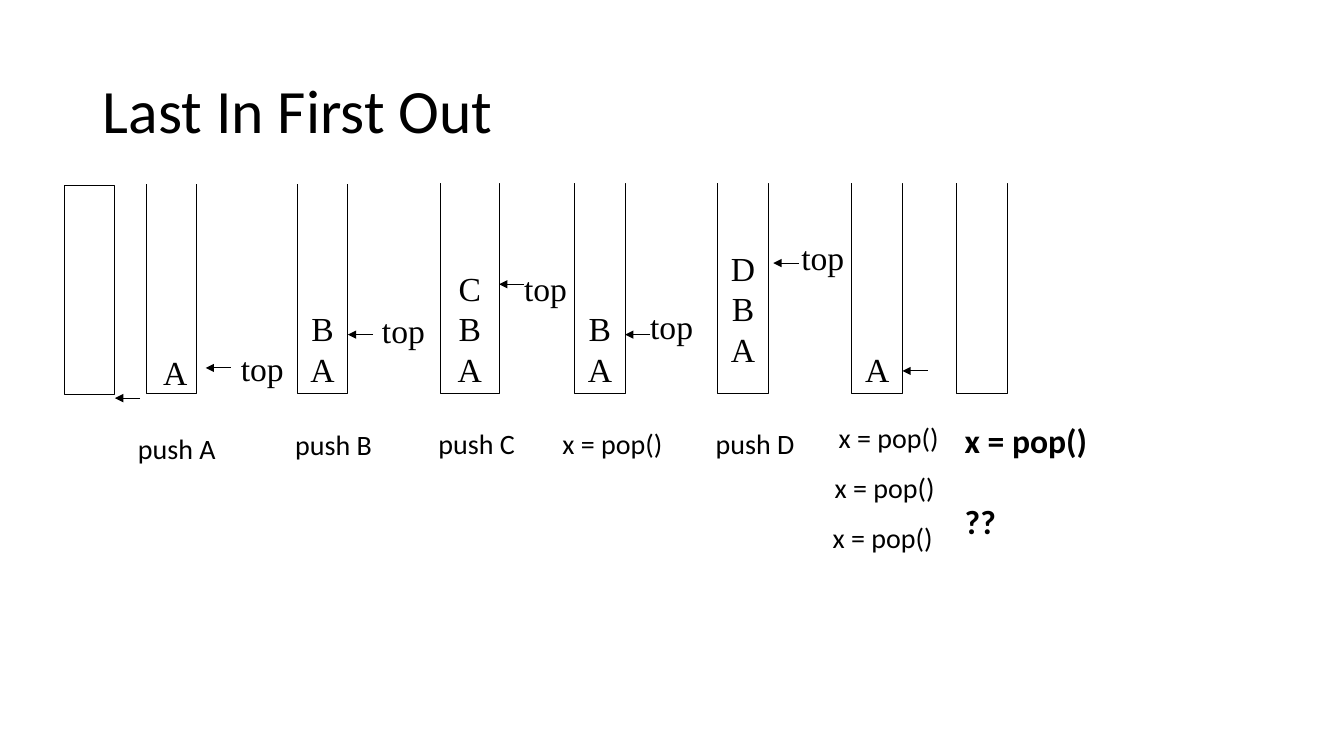
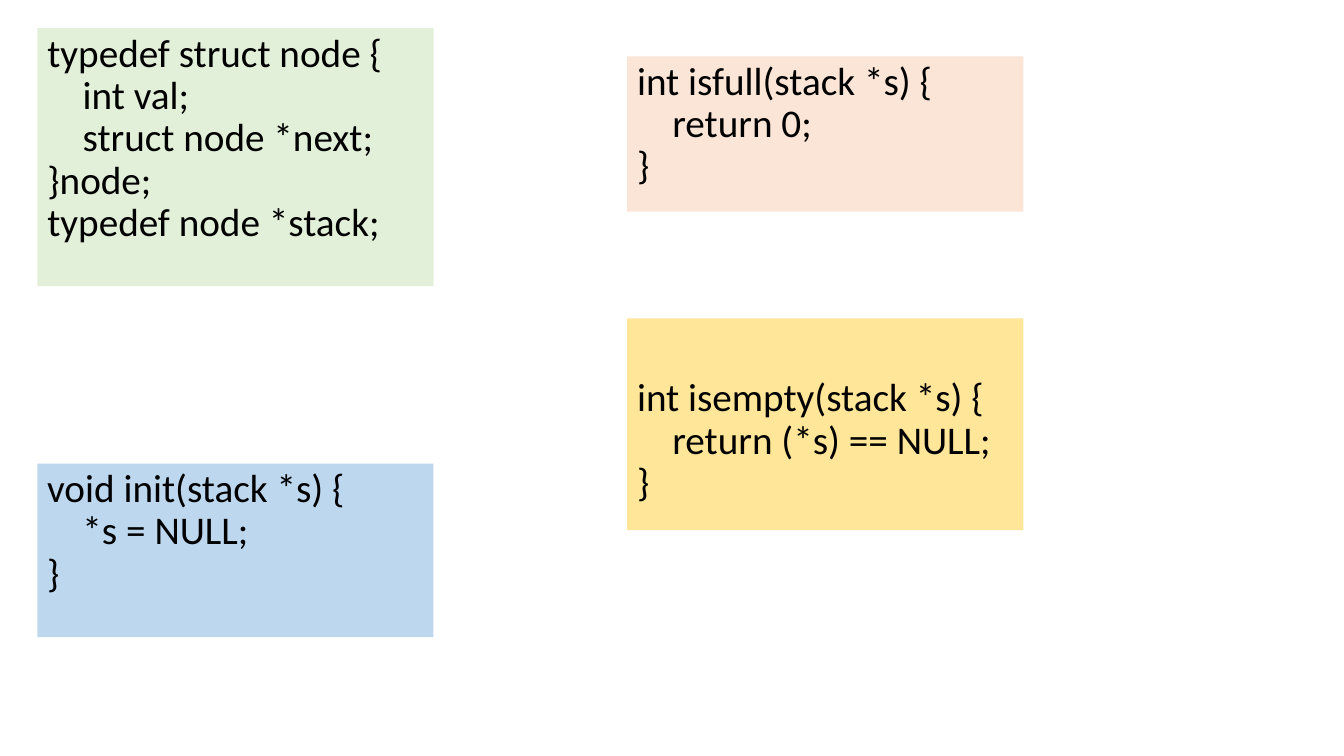
from pptx import Presentation
from pptx.dml.color import RGBColor
from pptx.enum.shapes import MSO_CONNECTOR, MSO_SHAPE
from pptx.enum.text import MSO_ANCHOR, MSO_AUTO_SIZE, PP_ALIGN
from pptx.oxml.ns import qn
from pptx.util import Pt
from lxml.etree import SubElement

PX = 9144
SANS, SERIF = "Calibri", "Times New Roman"
BLACK, WHITE = "000000", "FFFFFF"
TITLE_ONLY, TITLE_AND_CONTENT = 5, 1


def px(*lengths):
    return [n * PX for n in lengths]


def color(value):
    return RGBColor.from_string(value)


class Deck:
    def __init__(self):
        self.prs = Presentation()
        self.prs.slide_width, self.prs.slide_height = px(1333, 750)

    def new_slide(self, layout):
        self.s = self.prs.slides.add_slide(self.prs.slide_layouts[layout])

    def place(self, sp, box):
        sp.left, sp.top, sp.width, sp.height = px(*box)

    def style(self, p, size, font=SANS, bold=False):
        p.font.size, p.font.name, p.font.bold = Pt(size), font, bold
        p.font.color.rgb = color(BLACK)

    def title(self, text):
        sp = self.s.shapes.title
        self.place(sp, (92, 40, 1150, 145))
        tf = sp.text_frame
        tf.text = text
        tf.vertical_anchor = MSO_ANCHOR.MIDDLE
        p = tf.paragraphs[0]
        p.alignment, p.line_spacing = PP_ALIGN.LEFT, 0.9
        self.style(p, 44)

    def rect(self, box):
        sp = self.s.shapes.add_shape(MSO_SHAPE.RECTANGLE, *px(*box))
        sp.shadow.inherit = False
        return sp

    def line(self, x1, y1, x2, y2, stroke=BLACK, arrow=False):
        sp = self.s.shapes.add_connector(MSO_CONNECTOR.STRAIGHT, *px(x1, y1, x2, y2))
        sp.line.width = Pt(0.75)
        sp.line.color.rgb = color(stroke)
        if arrow:
            SubElement(sp._element.spPr.find(qn("a:ln")), qn("a:tailEnd"), type="triangle")
        SubElement(sp._element.spPr, qn("a:effectLst"))

    def arrow(self, x, y):
        self.line(x + 25, y, x, y, arrow=True)

    def stack(self, x, width=50, letters="", top=182, height=208, base=4, is_open=True):
        sp = self.rect((x, top, width, height))
        sp.fill.background()
        sp.line.color.rgb = color(BLACK)
        sp.line.width = Pt(0.75)
        if letters:
            tf = sp.text_frame
            tf.text = "\n".join(letters)
            tf.word_wrap = False
            tf.vertical_anchor = MSO_ANCHOR.BOTTOM
            tf.margin_bottom = base * PX
            for p in tf.paragraphs:
                p.alignment, p.line_spacing = PP_ALIGN.CENTER, Pt(29)
                self.style(p, 24, SERIF)
        if is_open:
            self.line(x, top, x + width, top, WHITE)

    def label(self, text, box, size=20, font=SANS, bold=False, wrap=True, gap=0):
        tf = self.s.shapes.add_textbox(*px(*box)).text_frame
        tf.text = text
        tf.word_wrap, tf.auto_size = wrap, MSO_AUTO_SIZE.SHAPE_TO_FIT_TEXT
        for i, p in enumerate(tf.paragraphs):
            p.space_before = Pt(gap if i else 0)
            self.style(p, size, font, bold)

    def pointer(self, text, x, y, width=70):
        self.label(text, (x, y, width, 50), 24, SERIF)

    def code(self, box, fill, lines, top=5, placeholder=None):
        sp = placeholder or self.rect(box)
        self.place(sp, box)
        sp.fill.solid()
        sp.fill.fore_color.rgb = color(fill)
        sp.line.fill.background()
        tf = sp.text_frame
        tf.text = "\n".join(line.strip() for line in lines)
        tf.word_wrap, tf.auto_size = True, MSO_AUTO_SIZE.NONE
        tf.vertical_anchor = MSO_ANCHOR.TOP
        tf.margin_top = top * PX
        for p, line in zip(tf.paragraphs, lines):
            p.alignment, p.line_spacing, p.space_before = PP_ALIGN.LEFT, 0.9, Pt(0)
            self.style(p, 28)
            pPr = p._p.get_or_add_pPr()
            pPr.set("marL", str(35 * PX if line.startswith("\t") else 0))
            pPr.set("indent", "0")
            bullet = pPr.makeelement(qn("a:buNone"), {})
            pPr.insert_element_before(bullet, "a:tabLst", "a:defRPr", "a:extLst")


def lifo_slide(deck):
    deck.new_slide(TITLE_ONLY)
    deck.title("Last In First Out")

    deck.stack(64, top=184, height=207, is_open=False)
    for x, width, letters, base in [
        (145, 50, "", 4), (295, 50, "BA", 4), (437, 58, "CBA", 4), (570, 50, "BA", 4),
        (712, 50, "DBA", 24), (845, 50, "A", 4), (949, 50, "", 4),
    ]:
        deck.stack(x, width, letters, base=base)
    deck.line(949, 220, 999, 220, WHITE)

    for x, y in [(114, 395), (204, 365), (345, 332), (495, 282), (620, 332), (767, 261), (895, 368)]:
        deck.arrow(x, y)
    for x, y in [(229, 340), (369, 303), (510, 261), (635, 299), (785, 230)]:
        deck.pointer("top", x, y)
    deck.pointer("A", 152, 344, 50)

    for text, x, y in [
        ("push A", 127, 423), ("push B", 283, 419), ("push C", 425, 418),
        ("x = pop()", 548, 418), ("push D", 700, 418),
        ("x = pop()", 822, 412), ("x = pop()", 818, 462), ("x = pop()", 816, 511),
    ]:
        deck.label(text, (x, y, 134, 43))
    deck.label("x = pop()\n??", (947, 412, 224, 130), 24, bold=True, gap=29)


def code_slide(deck):
    deck.new_slide(TITLE_AND_CONTENT)
    title = deck.s.shapes.title._element
    title.getparent().remove(title)

    deck.code((37, 28, 393, 256), "E2F0D9", [
        "typedef struct node {", "\tint val;", "\tstruct node *next;", "}node;", "typedef node *stack;",
    ], placeholder=deck.s.placeholders[1])
    deck.code((37, 460, 393, 172), "BDD7EE", ["void init(stack *s) {", "\t*s = NULL;", "}"])
    deck.code((622, 316, 393, 210), "FFE699",
              ["int isempty(stack *s) {", "\treturn (*s) == NULL;", "}"], top=59)
    deck.code((622, 56, 393, 154), "FBE5D6", ["int isfull(stack *s) {", "\treturn 0;", "}"])


def main():
    deck = Deck()
    lifo_slide(deck)
    code_slide(deck)
    deck.prs.save("out.pptx")


if __name__ == "__main__":
    main()
